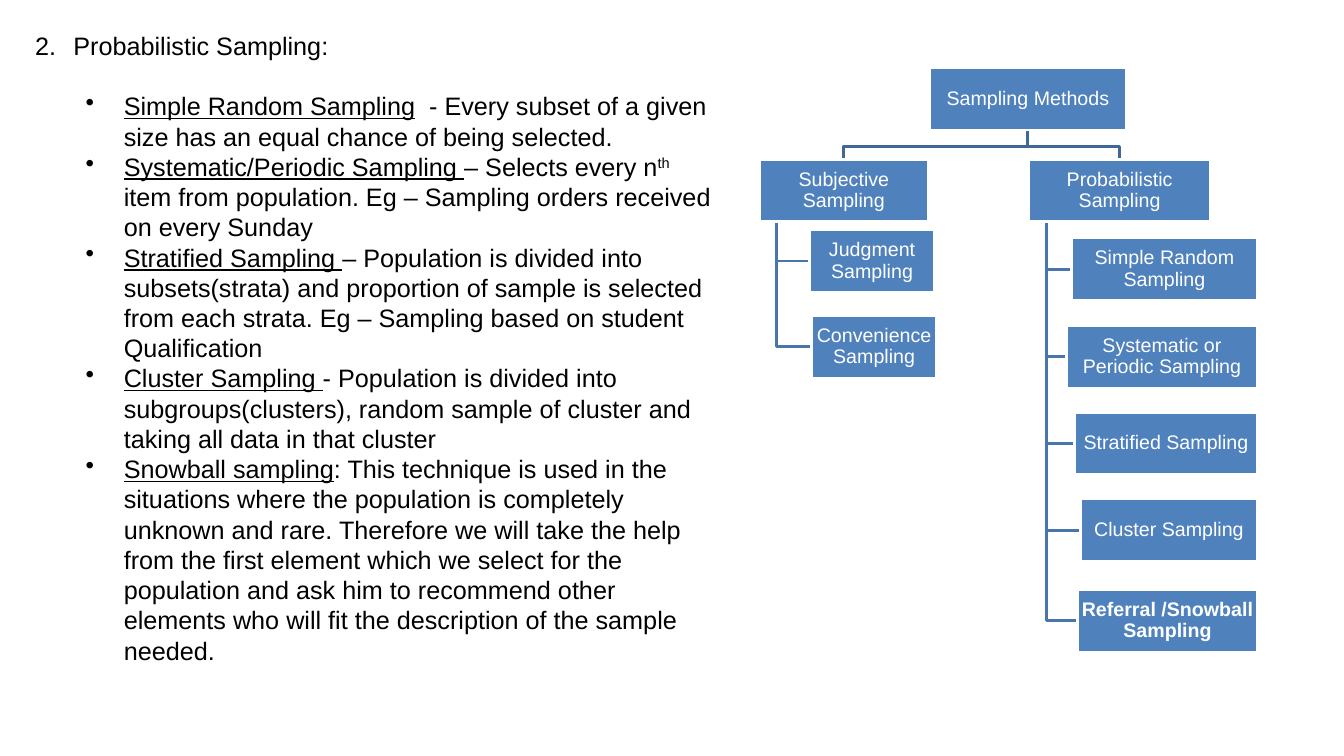
from lxml import etree
from pptx import Presentation
from pptx import util as u
from pptx.dml.color import RGBColor
from pptx.enum import shapes, text
from pptx.oxml.ns import qn

COLORS = {
    "text": "000000",
    "box": "4F81BD",
    "white": "FFFFFF",
    "root_line": "3F6797",
    "branch_line": "4875AC",
}
FONT = "Arial"
BOX_HEIGHT = 0.62
ROOT = ("Sampling Methods", 9.22, 0.67, 1.95)
# Each branch: its box, then the boxes below it (label, left, top, width)
BRANCHES = [
    (("Subjective Sampling", 7.53, 1.58, 1.68), [
        ("Judgment Sampling", 8.03, 2.28, 1.24),
        ("Convenience Sampling", 8.05, 3.13, 1.24),
    ]),
    (("Probabilistic Sampling", 10.2, 1.58, 1.81), [
        ("Simple Random Sampling", 10.63, 2.36, 1.84),
        ("Systematic or Periodic Sampling", 10.58, 3.23, 1.89),
        ("Stratified Sampling", 10.66, 4.09, 1.81),
        ("Cluster Sampling", 10.72, 4.95, 1.75),
        ("Referral /Snowball Sampling", 10.69, 5.85, 1.78),
    ]),
]
# Each definition: underlined term, then (text, is superscript) parts
DEFINITIONS = [
    ("Simple Random Sampling",
     [("  - Every subset of a given size has an equal chance of being selected.", False)]),
    ("Systematic/Periodic Sampling ",
     [("– Selects every n", False), ("th", True),
      (" item from population. Eg – Sampling orders received on every Sunday", False)]),
    ("Stratified Sampling ",
     [("– Population is divided into subsets(strata) and proportion of sample is selected "
       "from each strata. Eg – Sampling based on student Qualification", False)]),
    ("Cluster Sampling ",
     [("- Population is divided into subgroups(clusters), random sample of cluster and "
       "taking all data in that cluster", False)]),
    ("Snowball sampling",
     [(": This technique is used in the situations where the population is completely "
       "unknown and rare. Therefore we will take the help from the first element which we "
       "select for the population and ask him to recommend other elements who will fit the "
       "description of the sample needed.", False)]),
]


def format_list_item(paragraph, indent, marker, **attributes):
    """Set 18 pt text with a hanging bullet or number."""
    paragraph.font.name = FONT
    paragraph.font.size = u.Pt(18)
    paragraph.font.color.rgb = RGBColor.from_string(COLORS["text"])
    properties = paragraph._p.get_or_add_pPr()
    properties.set("marL", str(u.Inches(indent)))
    properties.set("indent", str(u.Inches(-0.38)))
    bullet = etree.Element(qn(marker), attributes)
    properties.insert_element_before(bullet, "a:tabLst", "a:defRPr", "a:extLst")


def add_bent_line(slide, points, color):
    corners = [(u.Inches(x), u.Inches(y)) for x, y in points]
    builder = slide.shapes.build_freeform(*corners[0])
    builder.add_line_segments(corners[1:], close=False)
    shape = builder.convert_to_shape()
    shape.shadow.inherit = False
    shape.fill.background()
    shape.line.color.rgb = RGBColor.from_string(color)
    shape.line.width = u.Pt(2)


presentation = Presentation()
presentation.slide_width = u.Inches(13.33)
presentation.slide_height = u.Inches(7.5)
slide = presentation.slides.add_slide(presentation.slide_layouts[6])

# Definitions on the left
text_box = slide.shapes.add_textbox(u.Inches(0.25), u.Inches(0.25), u.Inches(7), u.Inches(7.07))
frame = text_box.text_frame
frame.word_wrap = True
heading = frame.paragraphs[0]
heading.text = "Probabilistic Sampling:"
format_list_item(heading, 0.38, "a:buAutoNum", type="arabicPeriod", startAt="2")

for index, (term, parts) in enumerate(DEFINITIONS):
    paragraph = frame.add_paragraph()
    paragraph.level = 1
    if index == 0:
        paragraph.space_before = u.Pt(21.6)
    format_list_item(paragraph, 0.88, "a:buChar", char="•")
    run = paragraph.add_run()
    run.text = term
    run.font.underline = True
    for part, superscript in parts:
        run = paragraph.add_run()
        run.text = part
        if superscript:
            run._r.get_or_add_rPr().set("baseline", "30000")

# Lines of the tree, behind its boxes
root_x = ROOT[1] + ROOT[3] / 2
root_bottom = ROOT[2] + BOX_HEIGHT
for (_, left, top, width), children in BRANCHES:
    middle = left + width / 2
    bend = root_bottom + 0.16
    add_bent_line(slide, [(root_x, root_bottom), (root_x, bend), (middle, bend), (middle, top)],
                  COLORS["root_line"])
    trunk = left + width / 10
    for _, child_left, child_top, _ in children:
        child_middle = child_top + BOX_HEIGHT / 2
        add_bent_line(slide, [(trunk, top + BOX_HEIGHT), (trunk, child_middle),
                              (child_left, child_middle)], COLORS["branch_line"])

# Boxes of the tree
boxes = [ROOT]
for branch, children in BRANCHES:
    boxes += [branch, *children]
for label, left, top, width in boxes:
    box = slide.shapes.add_shape(shapes.MSO_SHAPE.RECTANGLE, u.Inches(left), u.Inches(top),
                                 u.Inches(width), u.Inches(BOX_HEIGHT))
    box.shadow.inherit = False
    box.fill.solid()
    box.fill.fore_color.rgb = RGBColor.from_string(COLORS["box"])
    box.line.color.rgb = RGBColor.from_string(COLORS["white"])
    box.line.width = u.Pt(2)
    frame = box.text_frame
    frame.word_wrap = True
    frame.vertical_anchor = text.MSO_ANCHOR.MIDDLE
    frame.margin_left = frame.margin_right = u.Inches(0.01)
    frame.margin_top = frame.margin_bottom = u.Inches(0.01)
    paragraph = frame.paragraphs[0]
    paragraph.text = label
    paragraph.alignment = text.PP_ALIGN.CENTER
    paragraph.line_spacing = 0.9
    paragraph.font.name = FONT
    paragraph.font.size = u.Pt(14)
    paragraph.font.bold = label.startswith("Referral")
    paragraph.font.color.rgb = RGBColor.from_string(COLORS["white"])

presentation.save("out.pptx")
